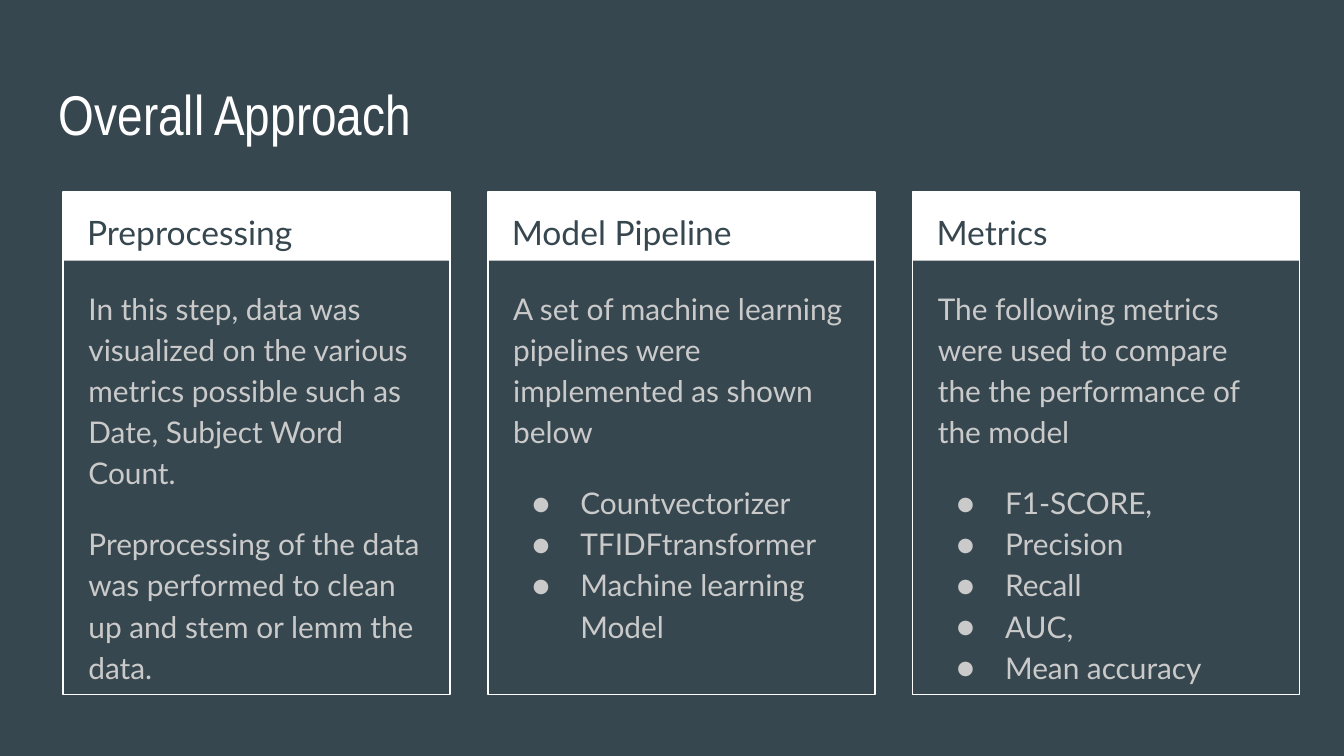
import pptx
import pptx.dml.color
import pptx.enum.shapes
import pptx.enum.text
import pptx.oxml.ns
import pptx.util
from lxml import etree
from pptx.util import Inches

SLATE = pptx.dml.color.RGBColor(0x37, 0x47, 0x4F)
WHITE = pptx.dml.color.RGBColor(0xFF, 0xFF, 0xFF)
LIGHT_GRAY = pptx.dml.color.RGBColor(0xCA, 0xCA, 0xCA)

CARD_LEFT, CARD_TOP, CARD_STEP = 0.47, 1.43, 3.16
CARD_WIDTH, CARD_HEIGHT, HEADER_HEIGHT = 2.88, 3.74, 0.51

CARDS = [
    ("Preprocessing",
     ["In this step, data was visualized on the various metrics possible such as  "
      "Date, Subject Word Count.",
      "Preprocessing of the data was performed to clean up and stem or lemm the data."],
     []),
    ("Model Pipeline",
     ["A set of machine learning pipelines were implemented as shown below"],
     ["Countvectorizer", "TFIDFtransformer", "Machine learning Model"]),
    ("Metrics",
     ["The following metrics were used to compare the the performance of the model"],
     ["F1-SCORE,", "Precision", "Recall", "AUC,", "Mean accuracy"]),
]


def add_bullet(paragraph, font):
    """Give a paragraph a hanging round bullet."""
    properties = paragraph._p.get_or_add_pPr()
    properties.set("marL", str(Inches(0.5)))
    properties.set("indent", str(Inches(-0.36)))
    color = etree.SubElement(properties, pptx.oxml.ns.qn("a:buClr"))
    etree.SubElement(color, pptx.oxml.ns.qn("a:srgbClr"), val=str(LIGHT_GRAY))
    etree.SubElement(properties, pptx.oxml.ns.qn("a:buFont"), typeface=font)
    etree.SubElement(properties, pptx.oxml.ns.qn("a:buChar"), char="●")


def write_paragraph(paragraph, text, *, size, color, font="Lato",
                    line_spacing=1.15, space_before=0, bullet=False):
    """Write formatted text into a paragraph."""
    paragraph.line_spacing = line_spacing
    paragraph.space_before = pptx.util.Pt(space_before)
    if bullet:
        add_bullet(paragraph, font)
    run = paragraph.add_run()
    run.text = text
    run.font.name = font
    run.font.size = pptx.util.Pt(size)
    run.font.color.rgb = color


def add_text_frame(slide, left, top, width, height):
    """Add a wrapping, top-anchored text box and return its text frame."""
    shape = slide.shapes.add_textbox(Inches(left), Inches(top), Inches(width), Inches(height))
    frame = shape.text_frame
    frame.word_wrap = True
    frame.vertical_anchor = pptx.enum.text.MSO_ANCHOR.TOP
    frame.margin_left = frame.margin_right = Inches(0.1)
    frame.margin_top = frame.margin_bottom = Inches(0.1)
    return frame


def add_rectangle(shapes, left, top, width, height, *, fill=None, line=None):
    """Add a rectangle with an optional fill and outline."""
    shape = shapes.add_shape(pptx.enum.shapes.MSO_SHAPE.RECTANGLE, Inches(left),
                             Inches(top), Inches(width), Inches(height))
    shape.shadow.inherit = False
    if fill is None:
        shape.fill.background()
    else:
        shape.fill.solid()
        shape.fill.fore_color.rgb = fill
    if line is None:
        shape.line.fill.background()
    else:
        shape.line.color.rgb = line
        shape.line.width = pptx.util.Pt(0.75)


def add_title(slide, left, top, width, height):
    """Add the slide title."""
    frame = add_text_frame(slide, left, top, width, height)
    write_paragraph(frame.paragraphs[0], "Overall Approach", size=30, color=WHITE,
                    font="Arial Narrow", line_spacing=1.0)


def add_card(slide, left, top, width, height, heading, statements, bullets):
    """Add an outlined card with a heading band, statements and bullets."""
    group = slide.shapes.add_group_shape()
    add_rectangle(group.shapes, left, top, width, HEADER_HEIGHT, fill=WHITE)
    add_rectangle(group.shapes, left, top, width, height, line=WHITE)

    header = add_text_frame(slide, left + 0.08, top, width - 0.15, 0.5)
    write_paragraph(header.paragraphs[0], heading, size=18, color=SLATE)

    body = add_text_frame(slide, left + 0.09, top + 0.59, width - 0.17, height - 0.68)
    for index, text in enumerate(statements + bullets):
        paragraph = body.add_paragraph() if index else body.paragraphs[0]
        starts_block = 0 < index <= len(statements)
        write_paragraph(paragraph, text, size=16, color=LIGHT_GRAY,
                        space_before=16 if starts_block else 0,
                        bullet=index >= len(statements))


def main():
    """Build and save the presentation."""
    presentation = pptx.Presentation()
    presentation.slide_width = Inches(10)
    presentation.slide_height = presentation.slide_width * 9 // 16
    slide = presentation.slides.add_slide(presentation.slide_layouts[6])
    slide.background.fill.solid()
    slide.background.fill.fore_color.rgb = SLATE

    add_title(slide, 0.34, 0.49, 9.32, 0.63)
    for column, card in enumerate(CARDS):
        add_card(slide, CARD_LEFT + column * CARD_STEP, CARD_TOP,
                 CARD_WIDTH, CARD_HEIGHT, *card)
    presentation.save("out.pptx")


if __name__ == "__main__":
    main()
